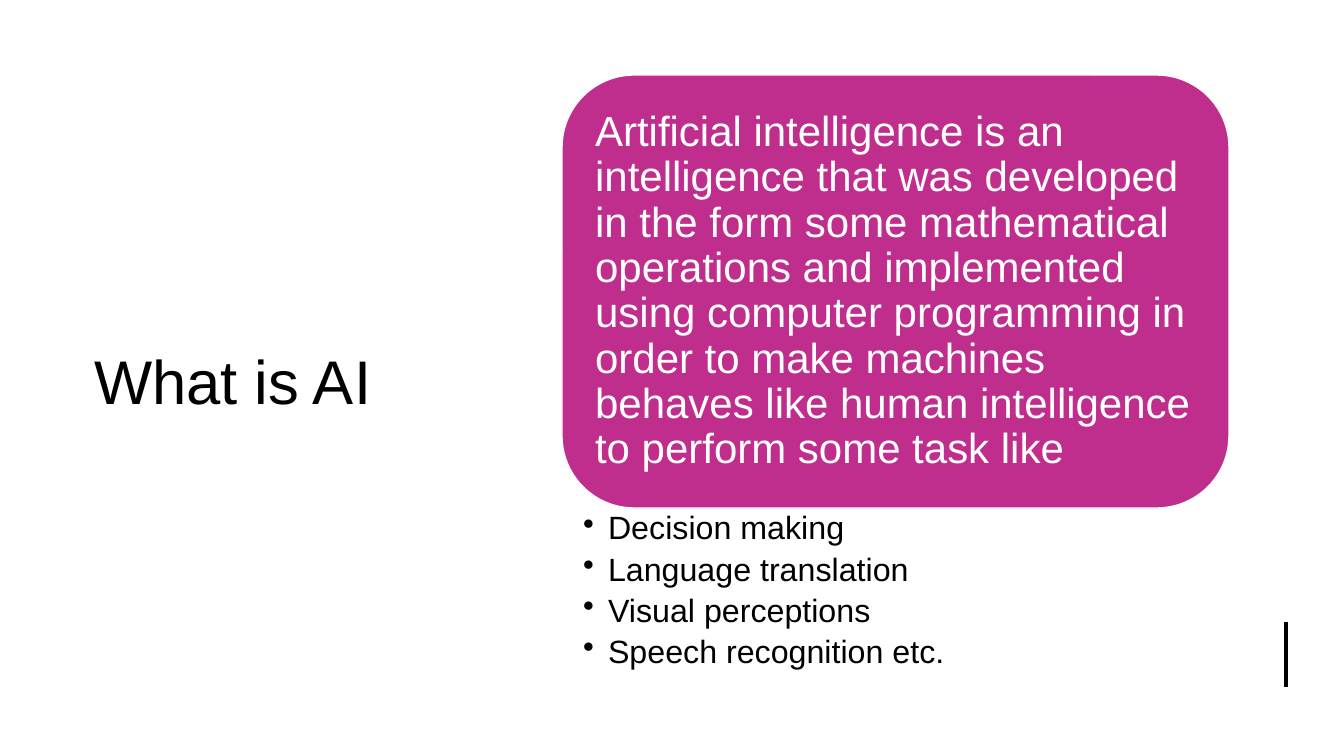
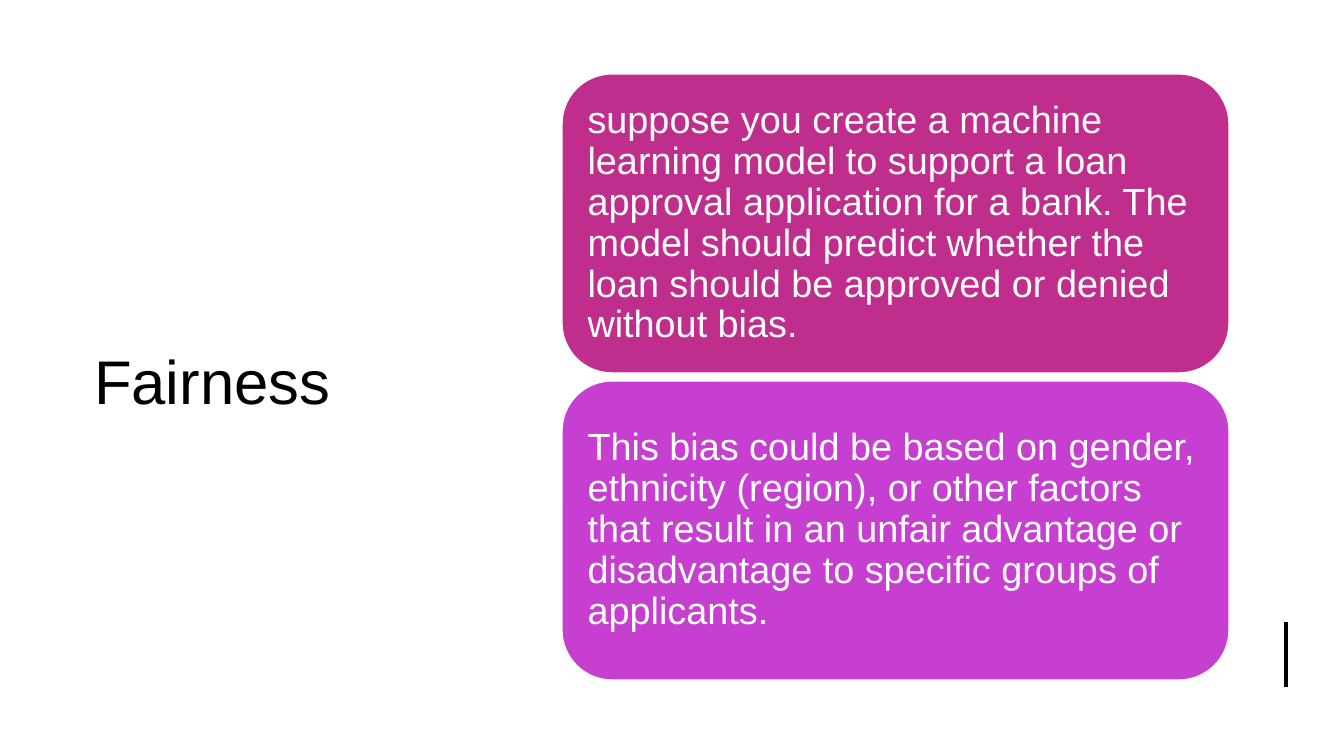
from dataclasses import dataclass

from lxml import etree
from pptx import Presentation
from pptx.dml.color import RGBColor
from pptx.enum.shapes import MSO_CONNECTOR, MSO_SHAPE
from pptx.enum.text import MSO_ANCHOR, PP_ALIGN
from pptx.oxml.ns import qn
from pptx.util import Emu, Pt

ROUNDED = MSO_SHAPE.ROUNDED_RECTANGLE
STRAIGHT = MSO_CONNECTOR.STRAIGHT
MIDDLE, TOP = MSO_ANCHOR.MIDDLE, MSO_ANCHOR.TOP
LEFT = PP_ALIGN.LEFT
TITLE_ONLY = 5


@dataclass(frozen=True)
class Theme:
    font: str = "Arial"
    ink: str = "000000"
    paper: str = "FFFFFF"
    magenta: str = "BF2D8D"
    violet: str = "C63FD1"
    title_size: int = 44
    lead_size: int = 30
    card_size: int = 27
    bullet_size: int = 23
    line_spacing: float = 0.9


THEME = Theme()

# Layout in px, 100.8 px to the inch
SLIDE_SIZE = (1344, 756)
TITLE_AREA = (84, 95, 380, 569)
MARK_X, MARK_TOP, MARK_BOTTOM = 1286, 622, 687
COLUMN_LEFT, COLUMN_WIDTH = 562, 667
CARD_GAP = 8
BULLET_INDENT = 25


def px(length):
    return Emu(round(length * 914400 / 100.8))


def color(code):
    return RGBColor.from_string(code)


def add_bullet(para):
    """Give a paragraph a round bullet with a hanging indent."""
    properties = para._p.get_or_add_pPr()
    properties.set("marL", str(px(BULLET_INDENT)))
    properties.set("indent", str(-px(BULLET_INDENT)))
    etree.SubElement(properties, qn("a:buChar")).set("char", "•")


def write_text(frame, lines, size, ink, anchor=MIDDLE, insets=None,
               spacing=None, after=0, bullets=False):
    """Fill a text frame with one paragraph per line."""
    frame.word_wrap = True
    frame.vertical_anchor = anchor
    if insets:
        (frame.margin_left, frame.margin_top,
         frame.margin_right, frame.margin_bottom) = map(px, insets)
    for index, line in enumerate(lines):
        para = frame.add_paragraph() if index else frame.paragraphs[0]
        para.alignment = LEFT
        if bullets:
            add_bullet(para)
        if spacing:
            para.line_spacing = spacing
        if after:
            para.space_after = Pt(after)
        span = para.add_run()
        span.text = line
        span.font.name = THEME.font
        span.font.size = Pt(size)
        span.font.color.rgb = color(ink)


def add_page(deck, title):
    """Add a page with the title on the left and the mark at the lower right."""
    page = deck.slides.add_slide(deck.slide_layouts[TITLE_ONLY])
    box = page.shapes.title
    box.left, box.top, box.width, box.height = map(px, TITLE_AREA)
    write_text(box.text_frame, [title], THEME.title_size, THEME.ink)

    mark = page.shapes.add_connector(
        STRAIGHT, px(MARK_X), px(MARK_TOP), px(MARK_X), px(MARK_BOTTOM))
    mark.line.color.rgb = color(THEME.ink)
    mark.line.width = Pt(3)
    etree.SubElement(mark._element.spPr, qn("a:effectLst"))
    return page


def add_card(page, text, top, height, fill, size, inset):
    card = page.shapes.add_shape(
        ROUNDED, px(COLUMN_LEFT), px(top), px(COLUMN_WIDTH), px(height))
    card.shadow.inherit = False
    card.fill.solid()
    card.fill.fore_color.rgb = color(fill)
    card.line.color.rgb = color(THEME.paper)
    card.line.width = Pt(1)
    write_text(card.text_frame, [text], size, THEME.paper,
               insets=(inset,) * 4, spacing=THEME.line_spacing)


def add_bullet_list(page, lines, top, height):
    box = page.shapes.add_textbox(
        px(COLUMN_LEFT), px(top), px(COLUMN_WIDTH), px(height))
    write_text(box.text_frame, lines, THEME.bullet_size, THEME.ink, anchor=TOP,
               insets=(21, 4, 23, 4), spacing=THEME.line_spacing,
               after=4.6, bullets=True)


def build_definition(deck):
    page = add_page(deck, "What is AI")
    top, height = 75, 433
    add_card(
        page,
        "Artificial intelligence is an intelligence that was developed in the "
        "form some mathematical operations and implemented using computer "
        "programming in order to make machines behaves like human "
        "intelligence to perform some task like",
        top, height, THEME.magenta, THEME.lead_size, inset=12)
    add_bullet_list(
        page,
        ["Decision making", "Language translation", "Visual perceptions",
         "Speech recognition etc."],
        top + height, 171)


def build_fairness(deck):
    page = add_page(deck, "Fairness")
    top, height = 74, 299
    cards = [
        ("suppose you create a machine learning model to support a loan "
         "approval application for a bank. The model should predict whether "
         "the loan should be approved or denied without bias.", THEME.magenta),
        ("This bias could be based on gender, ethnicity (region), or other "
         "factors that result in an unfair advantage or disadvantage to "
         "specific groups of applicants.", THEME.violet),
    ]
    for index, (text, fill) in enumerate(cards):
        add_card(page, text, top + index * (height + CARD_GAP), height, fill,
                 THEME.card_size, inset=11)


def main():
    deck = Presentation()
    deck.slide_width, deck.slide_height = map(px, SLIDE_SIZE)
    # White background shared by all pages
    background = deck.slide_master.background.fill
    background.solid()
    background.fore_color.rgb = color(THEME.paper)
    build_definition(deck)
    build_fairness(deck)
    deck.save("out.pptx")


if __name__ == "__main__":
    main()
